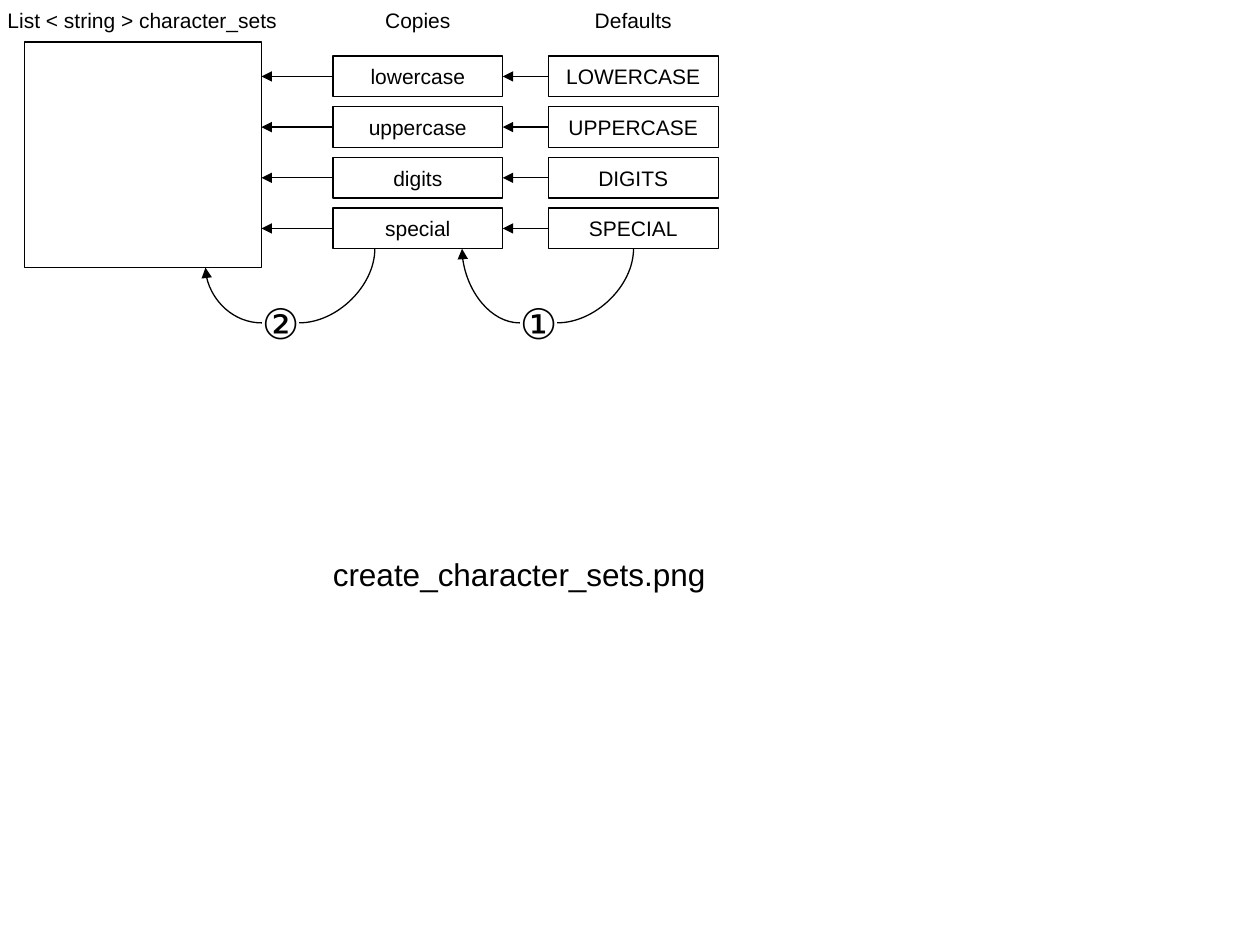
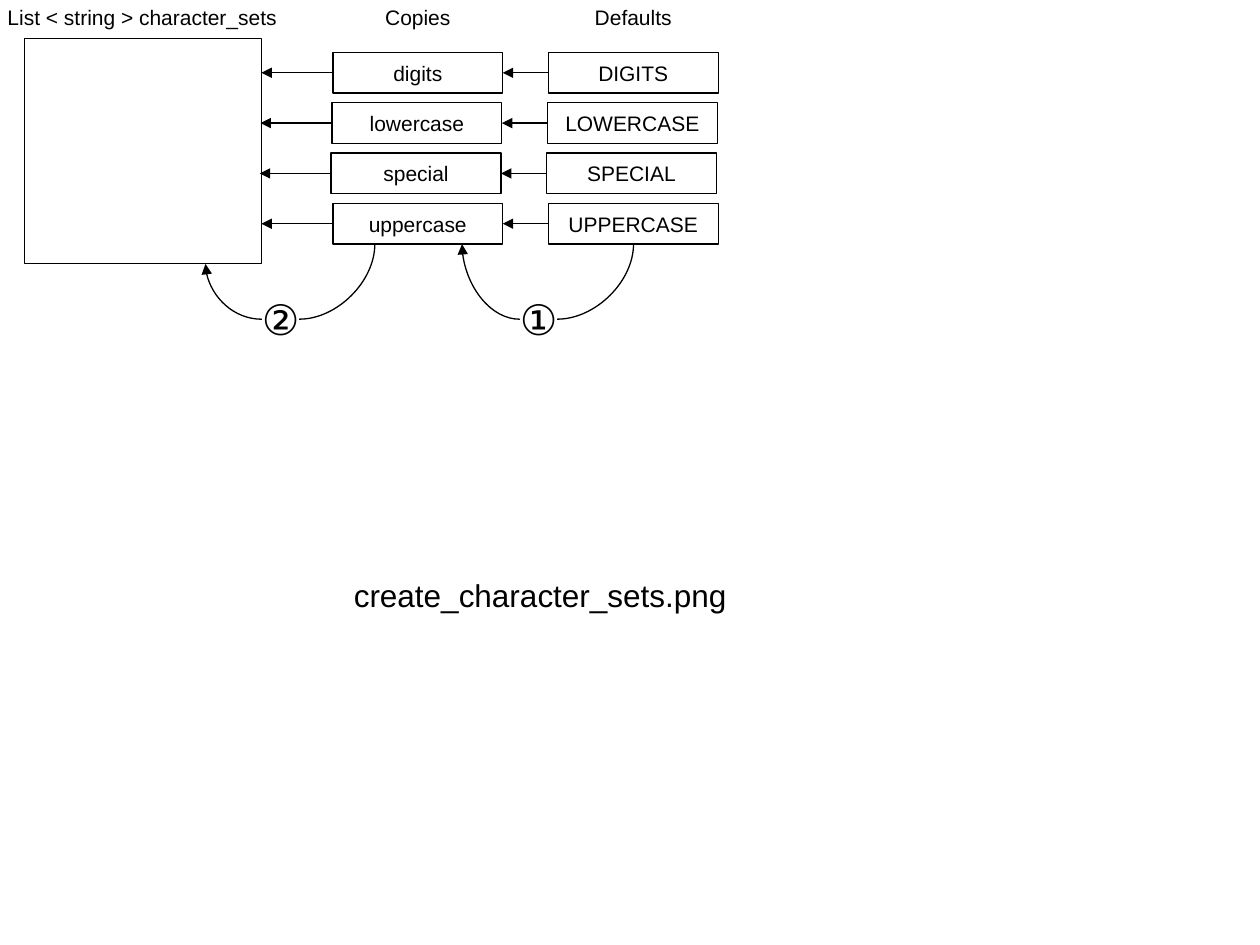
from lxml import etree
from pptx import Presentation
from pptx.dml.color import RGBColor
from pptx.enum import shapes, text
from pptx.oxml import ns
from pptx.util import Pt

INK = "000000"
FONT = "Arial"
LINE = 0.74
LIST_W, LIST_H = 135.2, 128.8
CELL_W, CELL_H = 97.1, 23.2
LIST_X, COPY_X, BASE_X = 14.2, 190.2, 313.3
LIST_Y, ROW_Y, BADGE_Y = 19.6, 27.6, 165.5
BADGE_W, BADGE_H = 21.4, 29


def color(code):
    """Turn a hex string into a colour."""
    return RGBColor.from_string(code)


def stroke(line):
    """Give a line the shared colour and width."""
    line.color.rgb = color(INK)
    line.width = Pt(LINE)


def write(shape, words, size, pad=(0, 0), anchor=text.MSO_ANCHOR.MIDDLE):
    """Put one centred line of words into a shape."""
    frame = shape.text_frame
    frame.word_wrap = False
    frame.margin_left = frame.margin_right = Pt(pad[0])
    frame.margin_top = frame.margin_bottom = Pt(pad[1])
    frame.vertical_anchor = anchor
    para = frame.paragraphs[0]
    para.text = words
    para.alignment = text.PP_ALIGN.CENTER
    para.font.name = FONT
    para.font.size = Pt(size)
    para.font.color.rgb = color(INK)


def label(slide, words, x, y, w, h, size=12, **style):
    """Add a text box that grows with its words."""
    box = slide.shapes.add_textbox(Pt(x), Pt(y), Pt(w), Pt(h))
    write(box, words, size, **style)
    box.text_frame.auto_size = text.MSO_AUTO_SIZE.SHAPE_TO_FIT_TEXT


def frame(slide, x, y, w, h, words=""):
    """Add an outlined box, with words if given."""
    box = slide.shapes.add_shape(
        shapes.MSO_SHAPE.RECTANGLE, Pt(x), Pt(y), Pt(w), Pt(h))
    box.shadow.inherit = False
    box.fill.background()
    stroke(box.line)
    if words:
        write(box, words, 12)


def link(slide, kind, x1, y1, x2, y2, arrow=True):
    """Add a connector, with an arrowhead at its end if wanted."""
    wire = slide.shapes.add_connector(kind, Pt(x1), Pt(y1), Pt(x2), Pt(y2))
    stroke(wire.line)
    props = wire._element.spPr
    if arrow:
        etree.SubElement(props.find(ns.qn("a:ln")), ns.qn("a:tailEnd"),
                         type="triangle")
    etree.SubElement(props, ns.qn("a:effectLst"))
    return props


def curve(slide, x1, y1, x2, y2, turn, arrow):
    """Add a quarter curve between two points, turned by 90 or 180 degrees."""
    w, h = abs(x2 - x1), abs(y2 - y1)
    if turn == 90:
        w, h = h, w
    mid, level = (x1 + x2) / 2, (y1 + y2) / 2
    props = link(slide, shapes.MSO_CONNECTOR.CURVE, mid - w / 2, level - h / 2,
                 mid + w / 2, level + h / 2, arrow)
    props.find(ns.qn("a:xfrm")).set("rot", str(turn * 60000))
    props.find(ns.qn("a:prstGeom")).set("prst", "curvedConnector2")


def step(slide, sign, x, y, start, end):
    """Draw a numbered step from a start point to an end point."""
    level = y + BADGE_H / 2
    label(slide, sign, x, y, BADGE_W, BADGE_H, 24, anchor=text.MSO_ANCHOR.TOP)
    curve(slide, *start, x + BADGE_W, level, 90, False)
    curve(slide, x, level, *end, 180, True)


def heads(slide, top):
    """Write the column headings."""
    for words, mid, w in (
            ("List < string > character_sets", LIST_X + LIST_W / 2 - 0.5, 157),
            ("Copies", COPY_X + CELL_W / 2, 38),
            ("Defaults", BASE_X + CELL_W / 2, 45)):
        label(slide, words, mid - w / 2, top, w, 14.4)


def row(slide, name, shift, y):
    """Draw a default, its copy and the arrows to the list."""
    copy, base = COPY_X + shift, BASE_X + shift
    frame(slide, copy, y, CELL_W, CELL_H, name)
    frame(slide, base, y, CELL_W, CELL_H, name.upper())
    level = y + CELL_H / 2
    for start, end in ((copy, LIST_X + LIST_W + shift), (base, copy + CELL_W)):
        link(slide, shapes.MSO_CONNECTOR.STRAIGHT, start, level, end, level)


def chart(slide, top, pitch, rows):
    """Draw the whole diagram below a given top."""
    heads(slide, top)
    frame(slide, LIST_X, top + LIST_Y, LIST_W, LIST_H)
    for i, (name, shift) in enumerate(rows):
        row(slide, name, shift, top + ROW_Y + i * pitch)
    foot = top + ROW_Y + (len(rows) - 1) * pitch + CELL_H
    step(slide, "②", 149.6, top + BADGE_Y, (214.2, foot),
         (117.4, top + LIST_Y + LIST_H))
    step(slide, "①", 297, top + BADGE_Y, (362, foot), (264, foot))


def page(deck, top, pitch, rows, spot):
    """Add a slide with the diagram and its file name."""
    slide = deck.slides.add_slide(deck.slide_layouts[6])
    chart(slide, top, pitch, rows)
    label(slide, "create_character_sets.png", *spot, 227.5, 29, 18,
          pad=(7.2, 3.6), anchor=text.MSO_ANCHOR.TOP)


deck = Presentation()
deck.slide_width, deck.slide_height = Pt(720), Pt(540)
page(deck, 4.5, 28.95,
     [("lowercase", 0), ("uppercase", 0), ("digits", 0), ("special", 0)],
     (183, 313.6))
page(deck, 2.4, 28.75,
     [("digits", 0), ("lowercase", -0.5), ("special", -1), ("uppercase", 0)],
     (195, 325.6))
deck.save("out.pptx")
